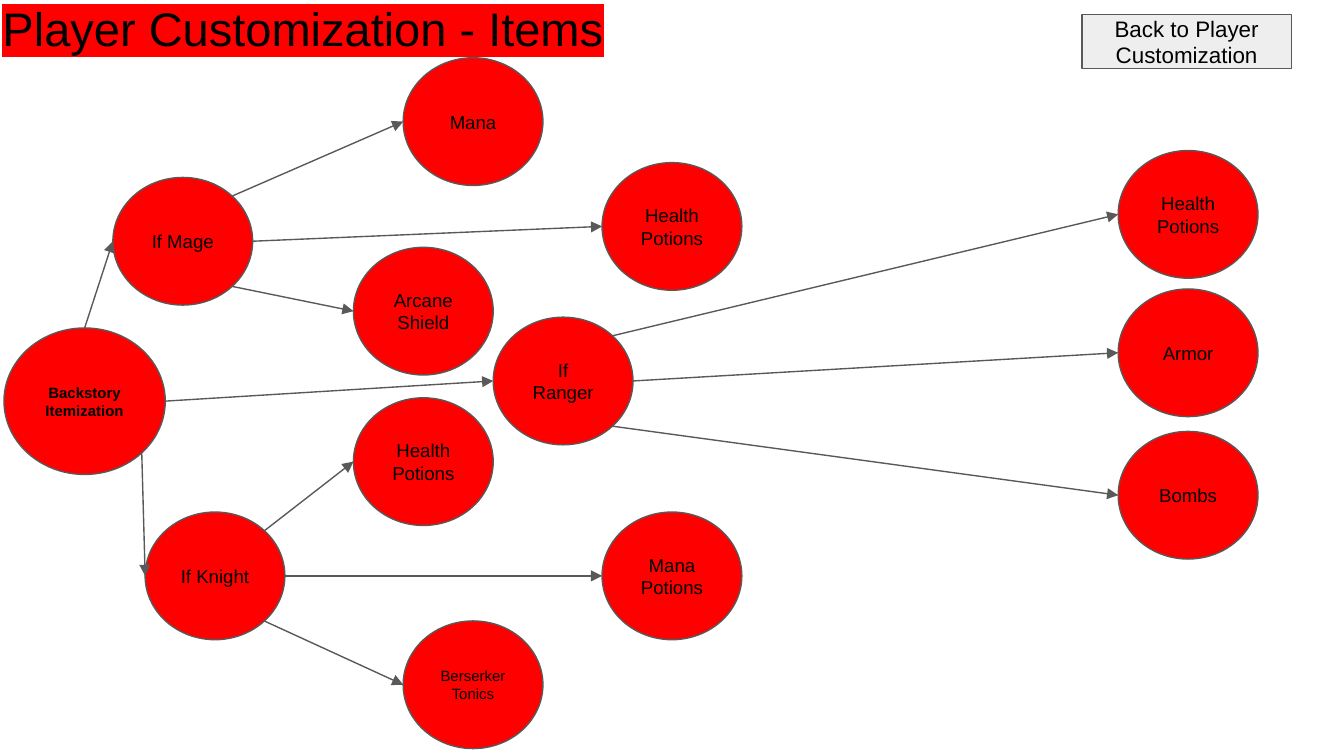
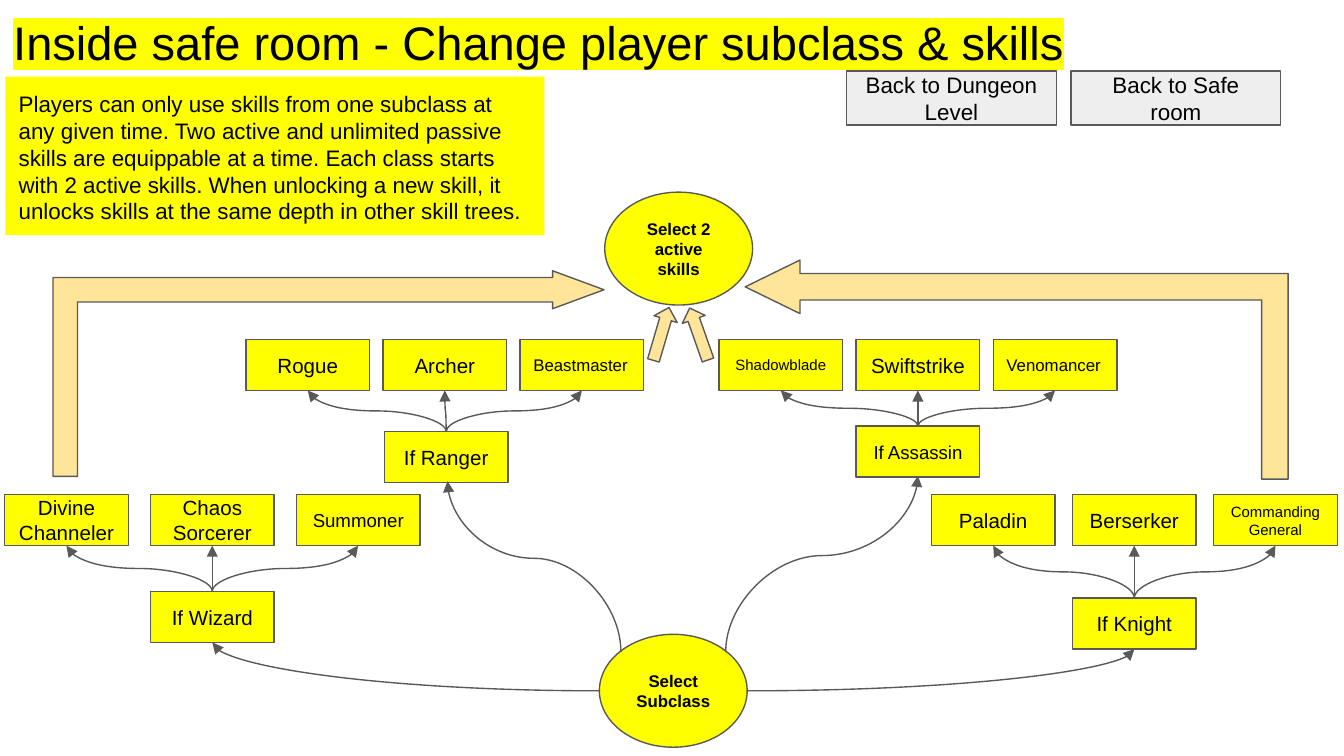
from pptx import Presentation
from pptx.dml.color import RGBColor
from pptx.enum import shapes, text
from pptx.oxml import ns, xmlchemy
from pptx.util import Inches, Pt
from lxml import etree

RED, YELLOW, GREY, SAND = "FF0000", "FFFF00", "EEEEEE", "FFE599"
OUTLINE, INK, FONT = "595959", "000000", "Arial"
RECT, OVAL = shapes.MSO_SHAPE.RECTANGLE, shapes.MSO_SHAPE.OVAL
BOX_W, BOX_H = 0.92, 0.38
OVAL_W, OVAL_H = 1.1, 0.84


def paint(part, fill=None, line=OUTLINE):
    if line:
        part.line.color.rgb = RGBColor.from_string(line)
        part.line.width = Pt(0.75)
    else:
        part.line.fill.background()
    if fill:
        part.fill.solid()
        part.fill.fore_color.rgb = RGBColor.from_string(fill)
        part.shadow.inherit = False
    else:
        etree.SubElement(part.line._get_or_add_ln(), ns.qn("a:tailEnd"), type="triangle")
        etree.SubElement(part._element.spPr, ns.qn("a:effectLst"))


def write(part, words, size=12, bold=False, center=True, middle=True, highlight=None):
    frame = part.text_frame
    frame.word_wrap = True
    frame.margin_left = frame.margin_right = Inches(0.1)
    frame.margin_top = frame.margin_bottom = Inches(0.1)
    frame.vertical_anchor = text.MSO_ANCHOR.MIDDLE if middle else text.MSO_ANCHOR.TOP
    paragraph = frame.paragraphs[0]
    paragraph.alignment = text.PP_ALIGN.CENTER if center else text.PP_ALIGN.LEFT
    run = paragraph.add_run()
    run.text = words
    run.font.size = Pt(size)
    run.font.bold = bold
    run.font.color.rgb = RGBColor.from_string(INK)
    if highlight:
        mark = etree.SubElement(run.font._element, ns.qn("a:highlight"))
        etree.SubElement(mark, ns.qn("a:srgbClr"), val=highlight)
    run.font.name = FONT


deck = Presentation()
deck.slide_width, deck.slide_height = Inches(10), Inches(5.625)
items = deck.slides.add_slide(deck.slide_layouts[6])
skills = deck.slides.add_slide(deck.slide_layouts[6])

for slide, heading, left, top, color in [
    (items, "Player Customization - Items", -0.08, -0.1, RED),
    (skills, "Inside safe room - Change player subclass & skills", 0, 0, YELLOW),
]:
    title = slide.shapes.add_textbox(Inches(left), Inches(top), Inches(9.32), Inches(0.63))
    write(title, heading, size=25.2, center=False, middle=False, highlight=color)

for slide, label, left, top in [
    (items, "Back to Player Customization", 8.05, 0.11),
    (skills, "Back to Safe room", 7.97, 0.53),
    (skills, "Back to Dungeon Level", 6.3, 0.53),
]:
    button = slide.shapes.add_shape(RECT, Inches(left), Inches(top), Inches(1.56), Inches(0.4))
    paint(button, GREY)
    write(button, label)

item_nodes = {
    "backstory": ("Backstory Itemization", 0.03, 2.44, 8),
    "mage": ("If Mage", 0.84, 1.32, 10),
    "ranger": ("If Ranger", 3.67, 2.36, 10),
    "knight": ("If Knight", 1.08, 3.81, 10),
    "mana": ("Mana", 3, 0.43, 10),
    "mage health": ("Health Potions", 4.48, 1.21, 10),
    "shield": ("Arcane Shield", 2.63, 1.84, 10),
    "ranger health": ("Health Potions", 8.32, 1.12, 10),
    "armor": ("Armor", 8.32, 2.15, 10),
    "bombs": ("Bombs", 8.32, 3.21, 10),
    "knight health": ("Health Potions", 2.63, 2.96, 10),
    "mana potions": ("Mana Potions", 4.48, 3.81, 10),
    "tonics": ("Berserker Tonics", 3, 4.62, 8),
}
frames = {}
for key, (label, left, top, size) in item_nodes.items():
    root = key == "backstory"
    width, height = (1.2, 1.09) if root else (1.04, 0.95)
    frames[key] = left, top, width, height
    node = items.shapes.add_shape(OVAL, Inches(left), Inches(top), Inches(width), Inches(height))
    paint(node, RED)
    write(node, label, size=size, bold=root)

UPPER, RIGHT, LOWER = (0.854, 0.146), (1, 0.5), (0.854, 0.854)
branches = {
    "backstory": [("mage", (0.5, 0)), ("ranger", RIGHT), ("knight", LOWER)],
    "mage": [("mana", UPPER), ("mage health", RIGHT), ("shield", LOWER)],
    "ranger": [("ranger health", UPPER), ("armor", RIGHT), ("bombs", LOWER)],
    "knight": [("knight health", UPPER), ("mana potions", RIGHT), ("tonics", LOWER)],
}
for source, targets in branches.items():
    left, top, width, height = frames[source]
    for target, (across, down) in targets:
        end_left, end_top, _, end_height = frames[target]
        arrow = items.shapes.add_connector(
            shapes.MSO_CONNECTOR.STRAIGHT,
            Inches(left + across * width), Inches(top + down * height),
            Inches(end_left), Inches(end_top + end_height / 2))
        paint(arrow)

rules = skills.shapes.add_shape(RECT, Inches(0.04), Inches(0.57), Inches(4.01), Inches(1.18))
paint(rules, YELLOW, line=None)
write(rules, "Players can only use skills from one subclass at any given time. "
      "Two active and unlimited passive skills are equippable at a time. "
      "Each class starts with 2 active skills. When unlocking a new skill, "
      "it unlocks skills at the same depth in other skill trees.",
      center=False, middle=False)

for label, left, top in [("Select Subclass", 4.46, 4.72), ("Select 2 active skills", 4.5, 1.43)]:
    choice = skills.shapes.add_shape(OVAL, Inches(left), Inches(top), Inches(OVAL_W), Inches(OVAL_H))
    paint(choice, YELLOW)
    write(choice, label, size=9, bold=True)

classes = [
    ("If Wizard", 11, 1.12, 4.4, 1.12, 3.68, 1.085,
     [("Divine Channeler", 11), ("Chaos Sorcerer", 11), ("Summoner", 10)]),
    ("If Ranger", 11, 2.86, 3.21, 2.85, 2.525, 1.02,
     [("Rogue", 11), ("Archer", 11), ("Beastmaster", 9)]),
    ("If Assassin", 10, 6.37, 3.17, 6.37, 2.525, 1.02,
     [("Shadowblade", 8), ("Swiftstrike", 11), ("Venomancer", 9)]),
    ("If Knight", 11, 7.98, 4.45, 7.98, 3.68, 1.05,
     [("Paladin", 11), ("Berserker", 11), ("Commanding General", 8)]),
]
curves = [(4.62, 4.85, 3.33, 3.58, 0.548), (5.4, 4.85, 6.83, 3.54, 0.547)]
for label, size, left, top, middle_left, row_top, pitch, subclasses in classes:
    boxes = [(label, size, left, top)]
    for step, (name, name_size) in enumerate(subclasses, -1):
        box_left = middle_left + step * pitch
        boxes.append((name, name_size, box_left, row_top))
        curves.append((left + BOX_W / 2, top, box_left + BOX_W / 2, row_top + BOX_H, 0.5))
    for name, name_size, box_left, box_top in boxes:
        box = skills.shapes.add_shape(
            RECT, Inches(box_left), Inches(box_top), Inches(BOX_W), Inches(BOX_H))
        paint(box, YELLOW)
        write(box, name, size=name_size, center=name_size != 9)

for x1, y1, x2, y2, bend in curves:
    mid_x, mid_y = (x1 + x2) / 2, (y1 + y2) / 2
    side = -1 if x2 >= x1 else 1
    reach, drop = side * (y1 - y2) / 2, abs(x2 - x1) / 2
    curve = skills.shapes.add_connector(
        shapes.MSO_CONNECTOR.CURVE, Inches(mid_x + reach), Inches(mid_y - drop),
        Inches(mid_x - reach), Inches(mid_y + drop))
    curve.rotation = 270 if side < 0 else 90
    guides = curve._element.spPr.find(ns.qn("a:prstGeom")).get_or_add_avLst()
    etree.SubElement(guides, ns.qn("a:gd"), name="adj1", fmla=f"val {round(bend * 100000)}")
    paint(curve)

for x1, x2, y2 in [(4.46, 1.58, 4.78), (5.56, 8.44, 4.83)]:
    sweep = skills.shapes.add_connector(
        shapes.MSO_CONNECTOR.CURVE, Inches(x2), Inches(y2), Inches(x1), Inches(5.14))
    sweep.rotation = 180
    sweep._element.spPr.find(ns.qn("a:prstGeom")).set("prst", "curvedConnector2")
    paint(sweep)

UP, BENT = shapes.MSO_SHAPE.UP_ARROW, shapes.MSO_SHAPE.BENT_UP_ARROW
for kind, left, top, width, height, turn, flip, adjust in [
    (UP, 4.83, 2.28, 0.18, 0.41, 16.4, False, (0.5, 0.5)),
    (UP, 5.11, 2.28, 0.18, 0.41, 340.6, False, (0.5, 0.5)),
    (BENT, 1.68, 0.73, 1.53, 4.1, 90, True, (0.119, 0.092, 0.25)),
    (BENT, 6.75, 0.73, 1.63, 4.04, 270, False, (0.121, 0.122, 0.25)),
]:
    pointer = skills.shapes.add_shape(kind, Inches(left), Inches(top), Inches(width), Inches(height))
    pointer.rotation = turn
    if flip:
        pointer._element.spPr.find(ns.qn("a:xfrm")).set("flipH", "1")
    for index, value in enumerate(adjust):
        pointer.adjustments[index] = value
    paint(pointer, SAND)

deck.save("out.pptx")
